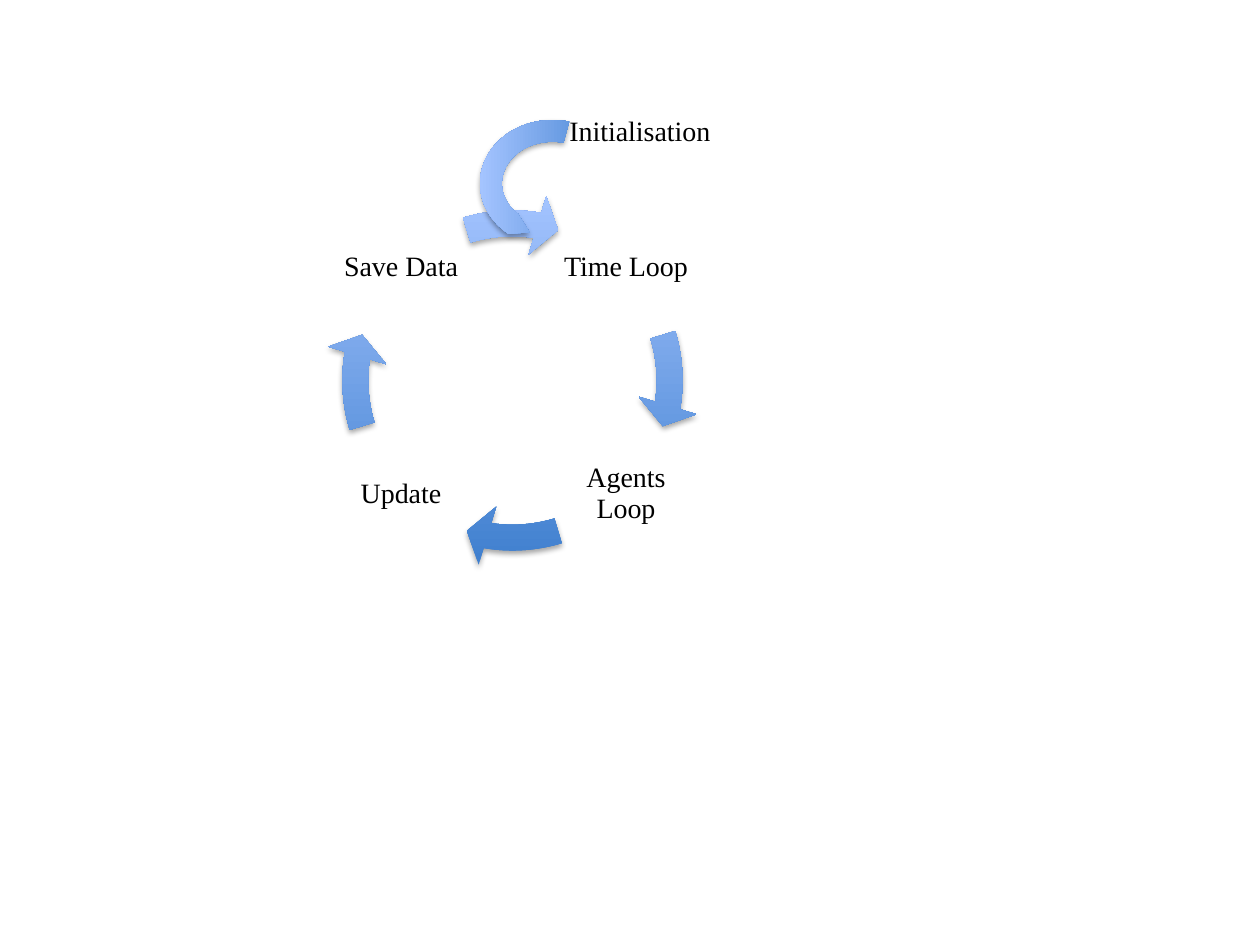
from dataclasses import dataclass

from lxml.etree import SubElement
from pptx import Presentation
from pptx.dml.color import RGBColor
from pptx.enum.shapes import MSO_SHAPE
from pptx.enum.text import MSO_ANCHOR, PP_ALIGN
from pptx.oxml.ns import qn
from pptx.util import Emu, Pt

EMU_PER_PIXEL = 914400 / 126
FONT_NAME = "Times New Roman"
QUARTER_TURN = 54      # 90 degrees in adjustment units
FULL_TURN = 216


@dataclass(frozen=True)
class Box:
    left: int
    top: int
    width: int
    height: int

    def emu(self) -> list[Emu]:
        return [pixels(n) for n in (self.left, self.top, self.width, self.height)]


@dataclass(frozen=True)
class Step:
    name: str
    left: int
    top: int


def pixels(count: float) -> Emu:
    return Emu(round(count * EMU_PER_PIXEL))


def colour(value: str) -> RGBColor:
    return RGBColor.from_string(value)


def add_shadow(shape) -> None:
    shape.shadow.inherit = False
    effects = shape._element.spPr.find(qn("a:effectLst"))
    shadow = SubElement(effects, qn("a:outerShdw"), blurRad="40000", dist="23000",
                        dir="5400000", rotWithShape="0")
    black = SubElement(shadow, qn("a:srgbClr"), val="000000")
    SubElement(black, qn("a:alpha"), val="35000")


def add_arrow(slide, box: Box, adjustments: list[float]):
    shape = slide.shapes.add_shape(MSO_SHAPE.CIRCULAR_ARROW, *box.emu())
    for index, value in enumerate(adjustments):
        shape.adjustments[index] = value
    shape.fill.gradient()
    shape.fill.gradient_angle = 90
    for stop, value in zip(shape.fill.gradient_stops, ("3F7FCE", "A4C4FF")):
        stop.color.rgb = colour(value)
    shape.line.fill.background()
    add_shadow(shape)
    return shape


def add_label(slide, box: Box, text: str):
    label = slide.shapes.add_textbox(*box.emu())
    frame = label.text_frame
    frame.word_wrap = True
    frame.text = text
    font = frame.paragraphs[0].runs[0].font
    font.name = FONT_NAME
    font.size = Pt(16)
    font.color.rgb = colour("000000")
    return label


def add_step(slide, step: Step) -> None:
    frame = add_label(slide, Box(step.left, step.top, 134, 134), step.name).text_frame
    frame.vertical_anchor = MSO_ANCHOR.MIDDLE
    frame.margin_left = frame.margin_right = pixels(3)
    frame.margin_top = frame.margin_bottom = pixels(3)
    frame.paragraphs[0].alignment = PP_ALIGN.CENTER
    frame.paragraphs[0].line_spacing = 0.9


presentation = Presentation()
presentation.slide_width = pixels(1260)
presentation.slide_height = pixels(945)
slide = presentation.slides.add_slide(presentation.slide_layouts[6])

# Cycle: each step is followed by the arrow a quarter turn further on
LEFT, RIGHT, TOP, BOTTOM = 334, 559, 200, 427
STEPS = [
    Step("Time Loop", RIGHT, TOP),
    Step("Agents Loop", RIGHT, BOTTOM),
    Step("Update", LEFT, BOTTOM),
    Step("Save Data", LEFT, TOP),
]
RING = Box(325, 193, 375, 375)
for position, step in enumerate(STEPS):
    add_step(slide, step)
    turn = position * QUARTER_TURN
    add_arrow(slide, RING, [0.069, 4.656, 5.485 + turn,
                            (205.859 + turn) % FULL_TURN, 0.081])

# Entry into the cycle
entry_arrow = add_arrow(slide, Box(489, 111, 127, 145),
                        [0.266, 11.423, 189.587, 98.887, 0.086])
entry_arrow.rotation = 90
entry_arrow._element.spPr.xfrm.set("flipV", "1")
add_label(slide, Box(557, 107, 244, 47), "Initialisation")

presentation.save("out.pptx")
